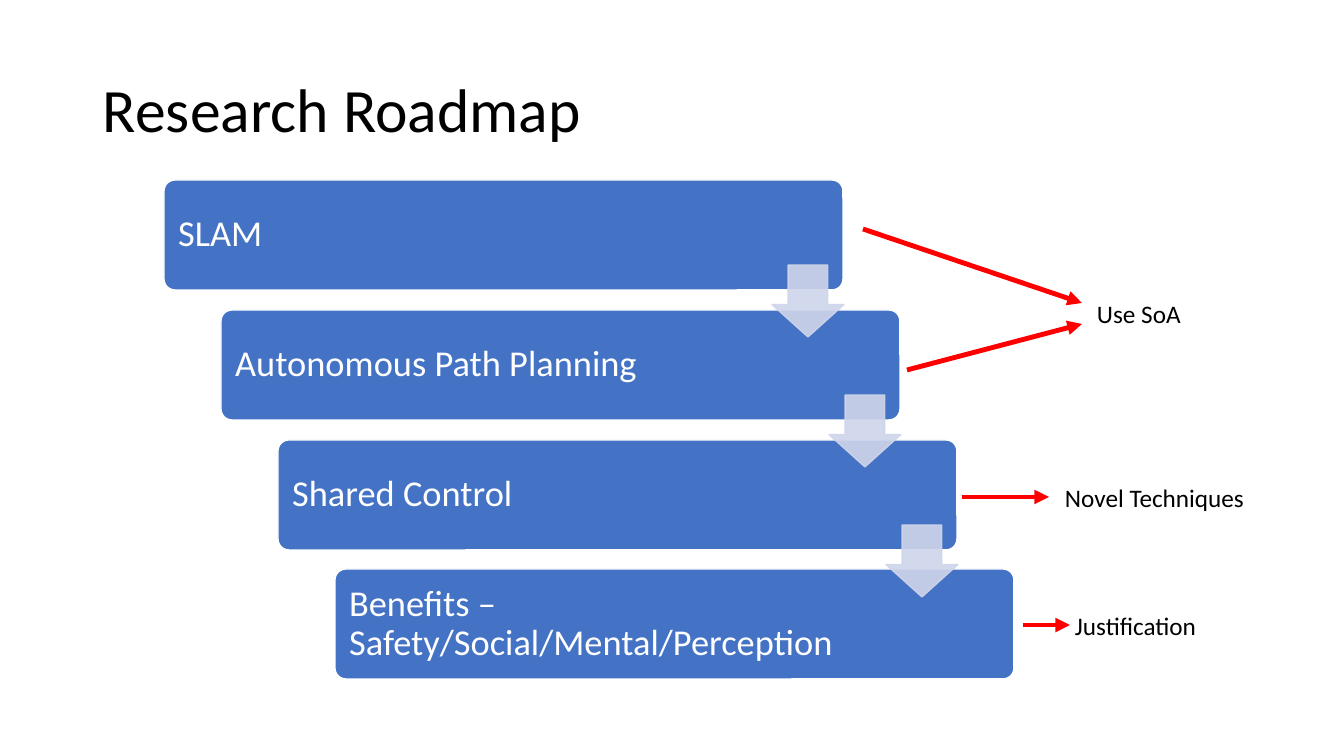
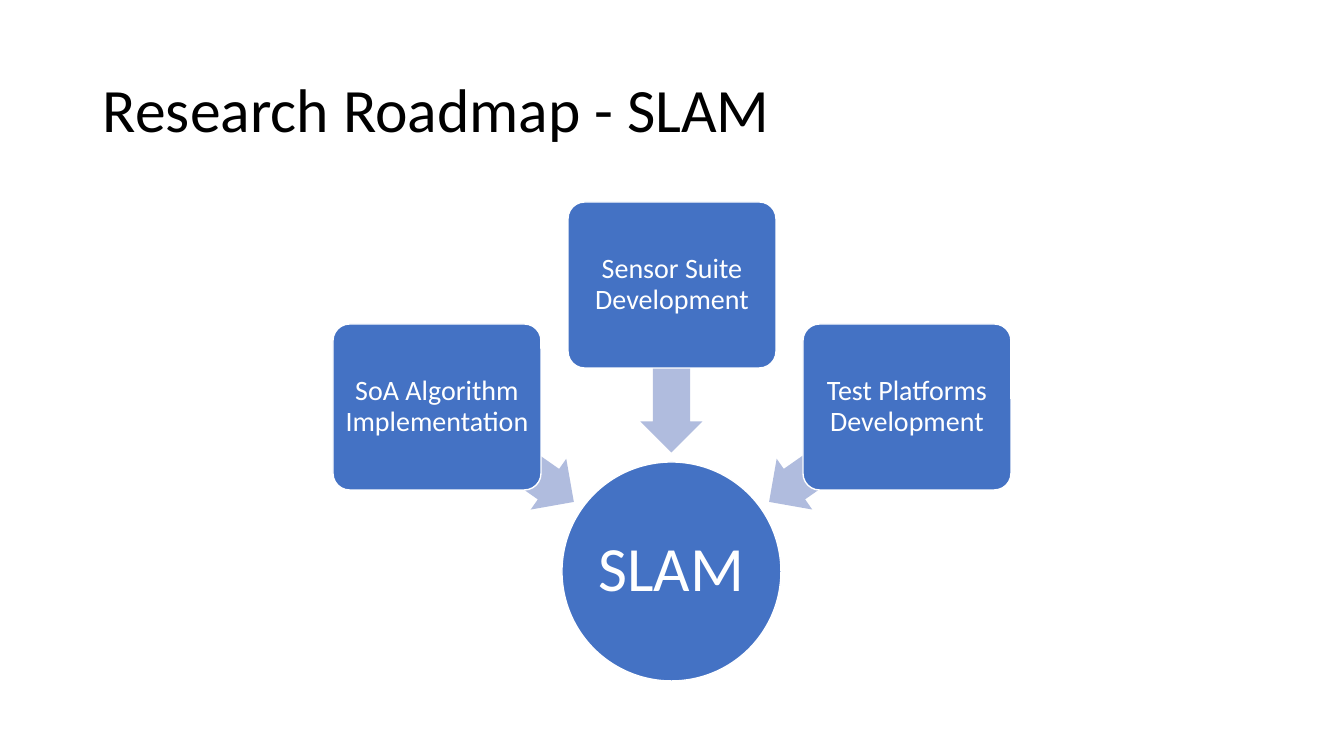
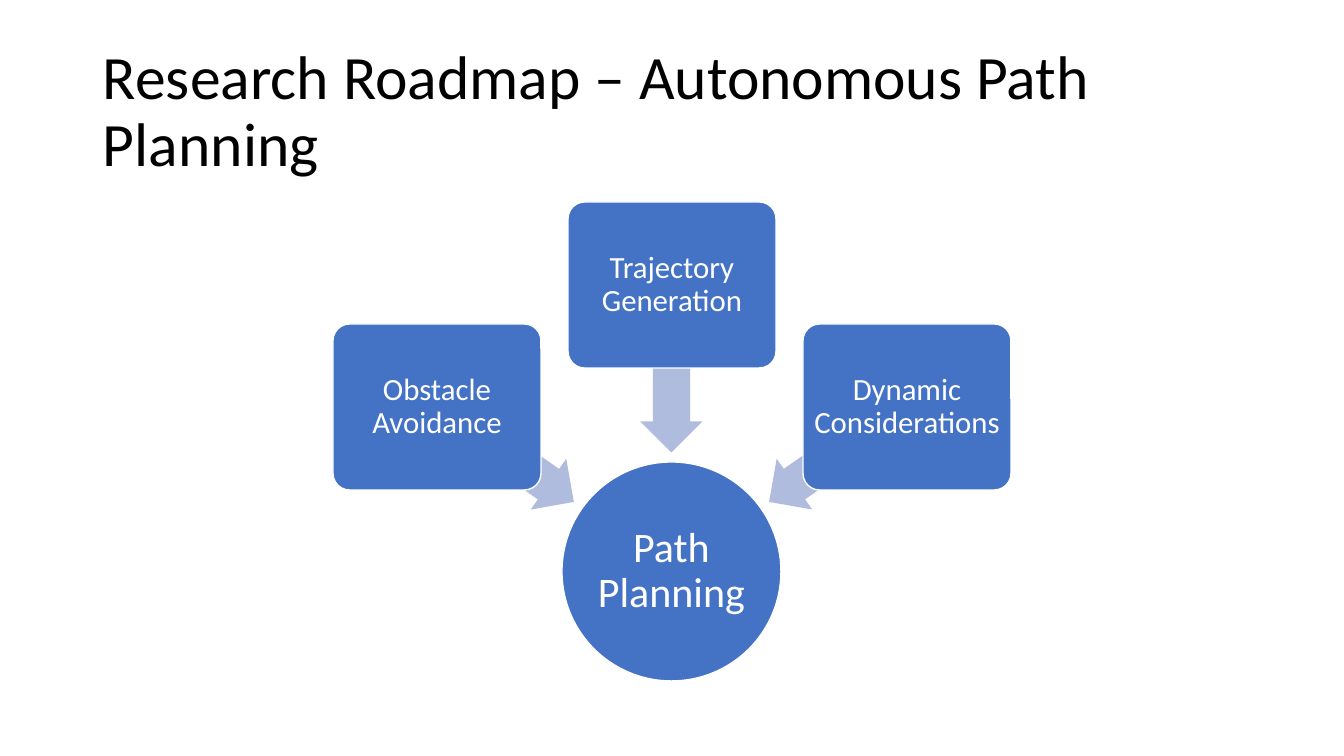
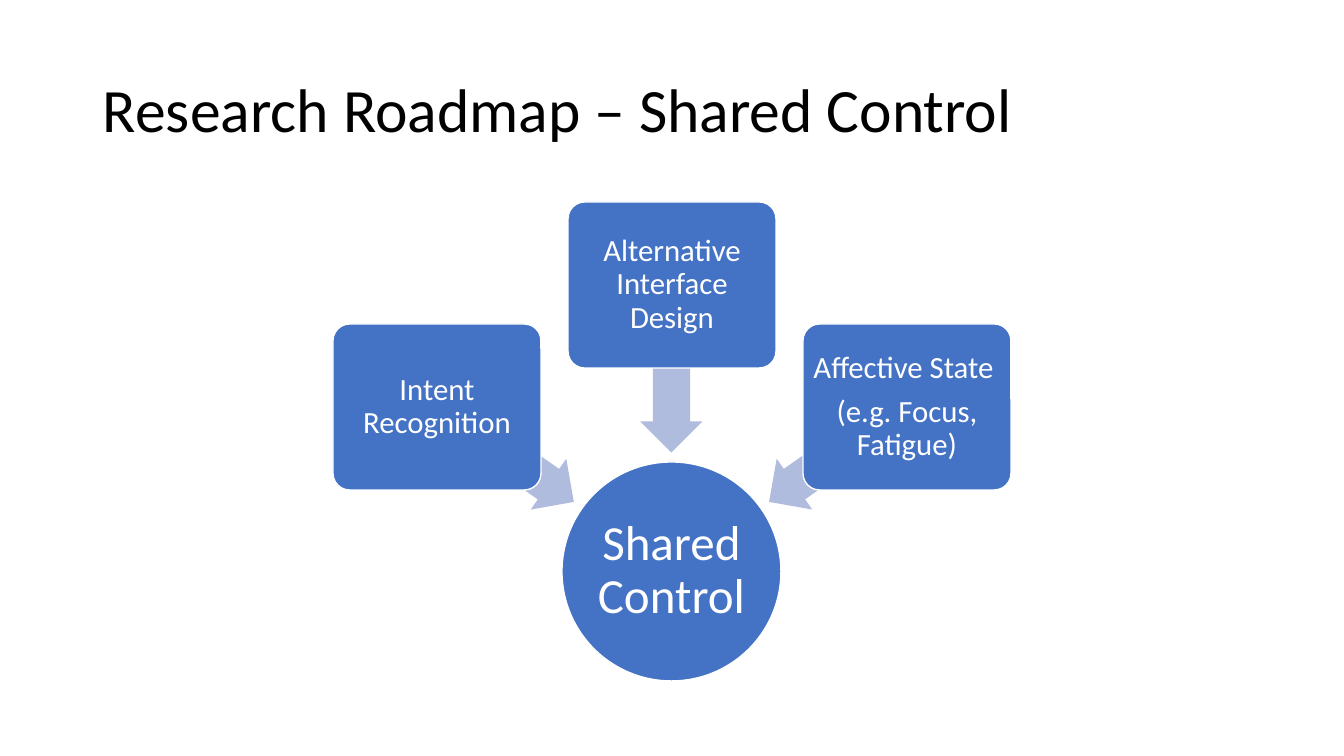
from dataclasses import dataclass
from typing import Optional

from lxml.etree import SubElement
from pptx import Presentation
from pptx.dml.color import RGBColor
from pptx.enum.shapes import MSO_CONNECTOR, MSO_SHAPE
from pptx.enum.text import MSO_ANCHOR, PP_ALIGN
from pptx.oxml.ns import qn
from pptx.shapes.autoshape import Shape
from pptx.slide import Slide
from pptx.util import Pt

EMU_PER_PIXEL = 914400 / 100.8
FONT = "Calibri"
COLORS = {
    "text": "000000",
    "light": "FFFFFF",
    "block": "4472C4",
    "step_arrow": "CFD5EA",
    "spoke_arrow": "B0BCDE",
    "callout": "FF0000",
}


@dataclass(frozen=True)
class Area:
    """A rectangle in pixels."""
    left: int
    top: int
    width: int
    height: int


@dataclass(frozen=True)
class TextStyle:
    """How the text in one box is set; insets in pixels."""
    size: int
    color: str = "light"
    align: PP_ALIGN = PP_ALIGN.CENTER
    anchor: MSO_ANCHOR = MSO_ANCHOR.MIDDLE
    insets: tuple[int, int, int, int] = (10, 5, 10, 5)
    line_spacing: float = 0.9


@dataclass(frozen=True)
class Step:
    """One stage of the roadmap staircase."""
    label: str
    top: int


@dataclass(frozen=True)
class Callout:
    """A remark beside the staircase."""
    label: str
    area: Area


@dataclass(frozen=True)
class Pointer:
    """An arrow from a stage to its remark."""
    start: tuple[int, int]
    end: tuple[int, int]


@dataclass(frozen=True)
class Topic:
    """A hub with three spokes; each spoke lists its paragraphs."""
    title: str
    hub: str
    hub_style: TextStyle
    spokes: tuple[tuple[str, ...], ...]
    spoke_style: TextStyle


TITLE_AREA = Area(93, 40, 1159, 146)
TITLE_STYLE = TextStyle(44, "text", PP_ALIGN.LEFT)
STEP_STYLE = TextStyle(26, align=PP_ALIGN.LEFT, insets=(11, 11, 136, 11))
CALLOUT_STYLE = TextStyle(18, "text", PP_ALIGN.LEFT, MSO_ANCHOR.TOP, line_spacing=1.0)
SPOKE_STYLE = TextStyle(22, insets=(5, 5, 5, 5))

STEP_LEFT, STEP_INDENT = 164, 57
STEP_WIDTH, STEP_HEIGHT = 679, 110
STEP_ARROW_SIZE = 72
STEP_ARROW_RIGHT, STEP_ARROW_DOWN = 608, 85

HUB_AREA = Area(562, 462, 219, 219)
SPOKE_LEFT, SPOKE_PITCH = 568, 235
SPOKE_WIDTH, SPOKE_HEIGHT = 208, 166
SPOKE_ARROW_LEFT, SPOKE_ARROW_PITCH = 588, 166
SPOKE_ARROW_WIDTH, SPOKE_ARROW_HEIGHT = 167, 62
SPOKE_ARROW_TURN = 55

STEPS = (
    Step("SLAM", 180),
    Step("Autonomous Path Planning", 310),
    Step("Shared Control", 440),
    Step("Benefits – Safety/Social/Mental/Perception", 569),
)
CALLOUTS = (
    Callout("Use SoA", Area(1087, 293, 165, 40)),
    Callout("Novel Techniques", Area(1055, 477, 218, 40)),
    Callout("Justification", Area(1065, 605, 218, 40)),
)
POINTERS = (
    Pointer((863, 229), (1082, 303)),
    Pointer((907, 370), (1082, 324)),
    Pointer((962, 497), (1049, 497)),
    Pointer((1023, 625), (1070, 625)),
)
TOPICS = (
    Topic(
        "Research Roadmap - SLAM",
        "SLAM",
        TextStyle(45, insets=(3, 3, 3, 3)),
        (
            ("SoA Algorithm Implementation",),
            ("Sensor Suite Development",),
            ("Test Platforms Development",),
        ),
        TextStyle(20, insets=(4, 4, 4, 4)),
    ),
    Topic(
        "Research Roadmap – Autonomous Path Planning",
        "Path Planning",
        TextStyle(30, insets=(2, 2, 2, 2)),
        (
            ("Obstacle Avoidance",),
            ("Trajectory Generation",),
            ("Dynamic Considerations",),
        ),
        SPOKE_STYLE,
    ),
    Topic(
        "Research Roadmap – Shared Control",
        "Shared Control",
        TextStyle(35, insets=(2, 2, 2, 2)),
        (
            ("Intent Recognition",),
            ("Alternative Interface Design",),
            ("Affective State ", "(e.g. Focus, Fatigue)"),
        ),
        SPOKE_STYLE,
    ),
)


def emu(pixels: float) -> int:
    """Turn pixels into EMU."""
    return round(pixels * EMU_PER_PIXEL)


def bounds(area: Area) -> tuple[int, int, int, int]:
    """Give an area's position and size in EMU."""
    return emu(area.left), emu(area.top), emu(area.width), emu(area.height)


def rgb(name: str) -> RGBColor:
    """Look up a colour by name."""
    return RGBColor.from_string(COLORS[name])


def write_text(box: Shape, paragraphs: tuple[str, ...], style: TextStyle) -> None:
    """Fill a box with paragraphs in one style."""
    frame = box.text_frame
    frame.word_wrap = True
    frame.vertical_anchor = style.anchor
    left, top, right, bottom = (emu(inset) for inset in style.insets)
    frame.margin_left, frame.margin_top = left, top
    frame.margin_right, frame.margin_bottom = right, bottom
    for index, text in enumerate(paragraphs):
        para = frame.add_paragraph() if index else frame.paragraphs[0]
        para.alignment = style.align
        para.line_spacing = style.line_spacing
        if index:
            para.space_before = Pt(0.35 * style.size)
        span = para.add_run()
        span.text = text
        span.font.name = FONT
        span.font.size = Pt(style.size)
        span.font.color.rgb = rgb(style.color)


def add_text(page: Slide, area: Area, text: str, style: TextStyle) -> None:
    """Add a plain text box."""
    write_text(page.shapes.add_textbox(*bounds(area)), (text,), style)


def add_figure(page: Slide, kind: MSO_SHAPE, area: Area, fill: str,
               outline: Optional[str] = None,
               adjustments: tuple[float, ...] = ()) -> Shape:
    """Add a filled preset shape, with an outline if one is named."""
    figure = page.shapes.add_shape(kind, *bounds(area))
    figure.shadow.inherit = False
    figure.fill.solid()
    figure.fill.fore_color.rgb = rgb(fill)
    if outline:
        figure.line.color.rgb = rgb(outline)
        figure.line.width = Pt(1)
    else:
        figure.line.fill.background()
    for index, value in enumerate(adjustments):
        figure.adjustments[index] = value
    return figure


def add_block(page: Slide, area: Area, paragraphs: tuple[str, ...],
              style: TextStyle) -> None:
    """Add a rounded block with text."""
    block = add_figure(page, MSO_SHAPE.ROUNDED_RECTANGLE, area, "block", "light", (0.1,))
    write_text(block, paragraphs, style)


def set_opacity(figure: Shape, percent: int) -> None:
    """Make a shape's fill and outline partly transparent."""
    for color in figure._element.spPr.iter(qn("a:srgbClr")):
        SubElement(color, qn("a:alpha")).set("val", str(percent * 1000))


def add_pointer(page: Slide, pointer: Pointer) -> None:
    """Add a straight arrow."""
    ends = (emu(value) for value in pointer.start + pointer.end)
    connector = page.shapes.add_connector(MSO_CONNECTOR.STRAIGHT, *ends)
    connector.line.color.rgb = rgb("callout")
    connector.line.width = Pt(3.5)
    properties = connector._element.spPr
    SubElement(properties.find(qn("a:ln")), qn("a:tailEnd")).set("type", "triangle")
    SubElement(properties, qn("a:effectLst"))


def add_page(deck: Presentation, title: str) -> Slide:
    """Add a blank page with the shared title."""
    page = deck.slides.add_slide(deck.slide_layouts[6])
    add_text(page, TITLE_AREA, title, TITLE_STYLE)
    return page


def add_roadmap(deck: Presentation) -> None:
    """Add the staircase of stages with its remarks."""
    page = add_page(deck, "Research Roadmap")
    for index, step in enumerate(STEPS):
        left = STEP_LEFT + index * STEP_INDENT
        area = Area(left, step.top, STEP_WIDTH, STEP_HEIGHT)
        add_block(page, area, (step.label,), STEP_STYLE)
    for index, step in enumerate(STEPS[:-1]):
        left = STEP_LEFT + index * STEP_INDENT + STEP_ARROW_RIGHT
        area = Area(left, step.top + STEP_ARROW_DOWN, STEP_ARROW_SIZE, STEP_ARROW_SIZE)
        arrow = add_figure(page, MSO_SHAPE.DOWN_ARROW, area, "step_arrow",
                           "step_arrow", (0.55, 0.45))
        set_opacity(arrow, 90)
    for callout in CALLOUTS:
        add_text(page, callout.area, callout.label, CALLOUT_STYLE)
    for pointer in POINTERS:
        add_pointer(page, pointer)


def add_topic(deck: Presentation, topic: Topic) -> None:
    """Add a hub with three spokes pointing at it."""
    page = add_page(deck, topic.title)
    hub = add_figure(page, MSO_SHAPE.OVAL, HUB_AREA, "block", "light")
    write_text(hub, (topic.hub,), topic.hub_style)
    for side, paragraphs in zip((-1, 0, 1), topic.spokes):
        arrow_top, block_top = (423, 324) if side else (338, 202)
        arrow_area = Area(SPOKE_ARROW_LEFT + side * SPOKE_ARROW_PITCH, arrow_top,
                          SPOKE_ARROW_WIDTH, SPOKE_ARROW_HEIGHT)
        arrow = add_figure(page, MSO_SHAPE.LEFT_ARROW, arrow_area, "spoke_arrow",
                           adjustments=(0.6, 0.5))
        arrow.rotation = 270 + side * SPOKE_ARROW_TURN
        block_area = Area(SPOKE_LEFT + side * SPOKE_PITCH, block_top,
                          SPOKE_WIDTH, SPOKE_HEIGHT)
        add_block(page, block_area, paragraphs, topic.spoke_style)


def main() -> None:
    """Build and save the deck."""
    deck = Presentation()
    deck.slide_width, deck.slide_height = emu(1344), emu(756)
    add_roadmap(deck)
    for topic in TOPICS:
        add_topic(deck, topic)
    deck.save("out.pptx")


main()
